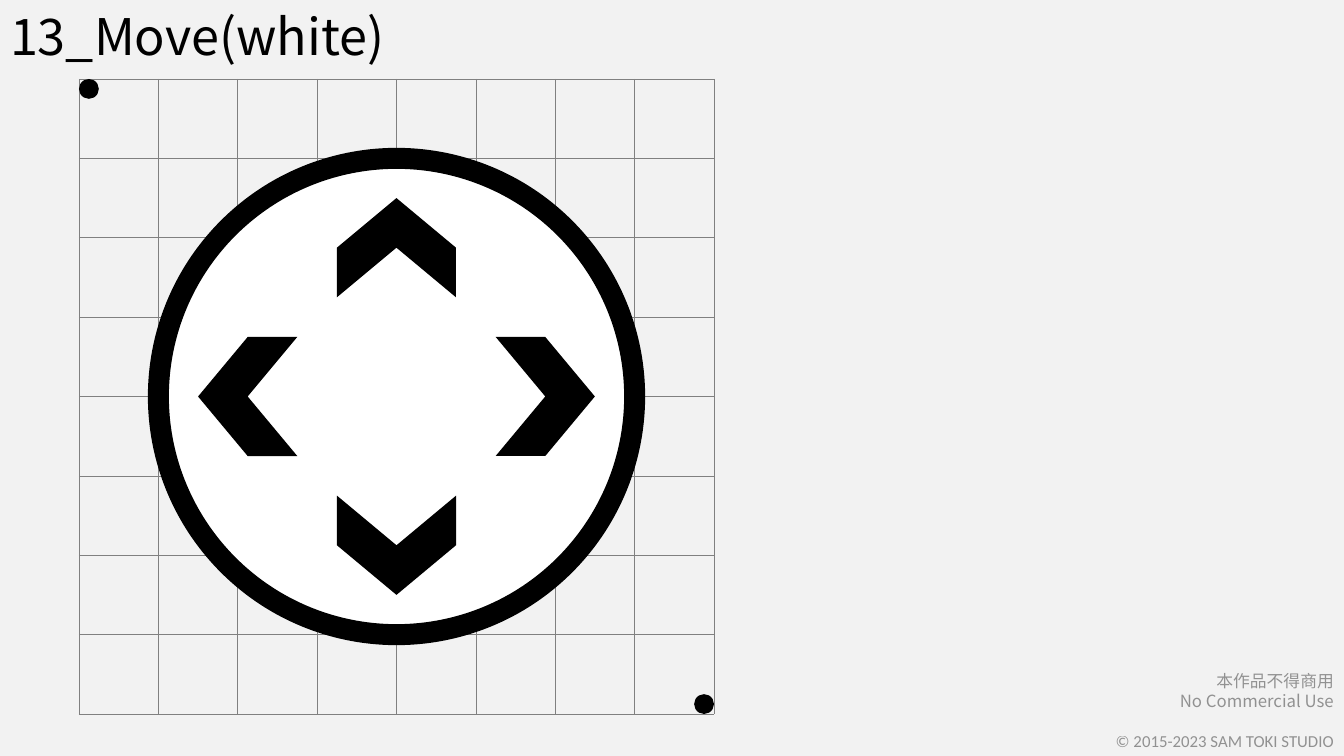
from collections import namedtuple

from lxml.etree import SubElement
from pptx import Presentation
from pptx.dml.color import RGBColor
from pptx.enum.shapes import MSO_CONNECTOR, MSO_SHAPE
from pptx.enum.text import MSO_ANCHOR, MSO_AUTO_SIZE, PP_ALIGN
from pptx.oxml.ns import qn
from pptx.util import Emu, Pt

Box = namedtuple("Box", "left top width height")

SLIDE = Box(0, 0, 1344, 756)
TITLE = Box(0, 0, 1191, 71)
ICON = Box(79, 79, 635, 635)
NOTICE = Box(947, 664, 397, 92)
CELLS = 8
FONT = "Noto Sans CJK SC"
BLACK, WHITE, GREY, PAPER = "000000", "FFFFFF", "808080", "F2F2F2"


def px(length):
    return Emu(round(length * 914400 / 100.8))


def color(hex_code):
    return RGBColor.from_string(hex_code)


def style_paragraph(paragraph, size, align, font_name=FONT):
    paragraph.alignment = align
    font = paragraph.font
    font.size = Pt(size)
    font.name = font_name
    font.color.rgb = color(BLACK)
    SubElement(font._element, qn("a:ea"), typeface=font_name)


def set_frame(frame, anchor):
    frame.word_wrap = True
    frame.auto_size = MSO_AUTO_SIZE.NONE
    frame.vertical_anchor = anchor
    frame.margin_left = frame.margin_right = px(10)
    frame.margin_top = frame.margin_bottom = px(5)


def add_title(slide, box, wording):
    title = slide.shapes.title
    title.left, title.top, title.width, title.height = map(px, box)
    title.text_frame.text = wording
    set_frame(title.text_frame, MSO_ANCHOR.TOP)
    style_paragraph(title.text_frame.paragraphs[0], 36, PP_ALIGN.LEFT)


def add_notice(slide, box):
    """Usage terms and copyright, right-aligned in translucent black."""
    frame = slide.shapes.add_textbox(*map(px, box)).text_frame
    frame.text = "本作品不得商用\nNo Commercial Use\n© 2015-2023 SAM TOKI STUDIO"
    set_frame(frame, MSO_ANCHOR.BOTTOM)
    for paragraph, font_name in zip(frame.paragraphs, (FONT, FONT, "Calibri")):
        style_paragraph(paragraph, 12, PP_ALIGN.RIGHT, font_name)
        tint = paragraph.font._element.find(".//" + qn("a:srgbClr"))
        SubElement(tint, qn("a:alpha"), val="40000")
    frame.paragraphs[-1].space_before = Pt(14.4)


def add_grid(slide, box):
    grid = slide.shapes.add_group_shape().shapes
    right, bottom = box.left + box.width, box.top + box.height

    def add_rule(*ends):
        rule = grid.add_connector(MSO_CONNECTOR.STRAIGHT, *map(px, ends))
        rule.line.color.rgb = color(GREY)
        rule.line.width = Pt(0.5)
        SubElement(rule._element.spPr, qn("a:effectLst"))

    for step in range(CELLS + 1):
        y = box.top + step * box.height / CELLS
        add_rule(box.left, y, right, y)
    for step in range(CELLS + 1):
        x = box.left + step * box.width / CELLS
        add_rule(x, box.top, x, bottom)


def add_solid(shapes, preset, center_x, center_y, width, height, fill=BLACK):
    solid = shapes.add_shape(preset, px(center_x - width / 2),
                             px(center_y - height / 2), px(width), px(height))
    solid.shadow.inherit = False
    solid.fill.solid()
    solid.fill.fore_color.rgb = color(fill)
    solid.line.fill.background()
    return solid


def add_move_icon(slide, box):
    cell = box.width / CELLS
    center_x, center_y = box.left + box.width / 2, box.top + box.height / 2

    # Dots in two opposite corners
    corners = slide.shapes.add_group_shape().shapes
    dot = cell / 4
    reach = (box.width - dot) / 2
    for side in (-1, 1):
        add_solid(corners, MSO_SHAPE.OVAL, center_x + side * reach,
                  center_y + side * reach, dot, dot)

    # Ring
    ring = add_solid(slide.shapes, MSO_SHAPE.OVAL, center_x, center_y,
                     6 * cell, 6 * cell, WHITE)
    ring.line.color.rgb = color(BLACK)
    ring.line.width = Pt(15)

    # Chevrons pointing right, down, left and up
    chevrons = slide.shapes.add_group_shape().shapes
    offset = 1.875 * cell
    for turn, (dx, dy) in enumerate(((1, 0), (0, 1), (-1, 0), (0, -1))):
        chevron = add_solid(chevrons, MSO_SHAPE.CHEVRON, center_x + dx * offset,
                            center_y + dy * offset, 1.25 * cell, 1.5 * cell)
        chevron.rotation = 90 * turn


def main():
    deck = Presentation()
    deck.slide_width, deck.slide_height = px(SLIDE.width), px(SLIDE.height)
    slide = deck.slides.add_slide(deck.slide_layouts.get_by_name("Title Only"))
    slide.background.fill.solid()
    slide.background.fill.fore_color.rgb = color(PAPER)

    add_notice(slide, NOTICE)
    add_title(slide, TITLE, "13_Move(white)")
    add_grid(slide, ICON)
    add_move_icon(slide, ICON)
    deck.save("out.pptx")


if __name__ == "__main__":
    main()
